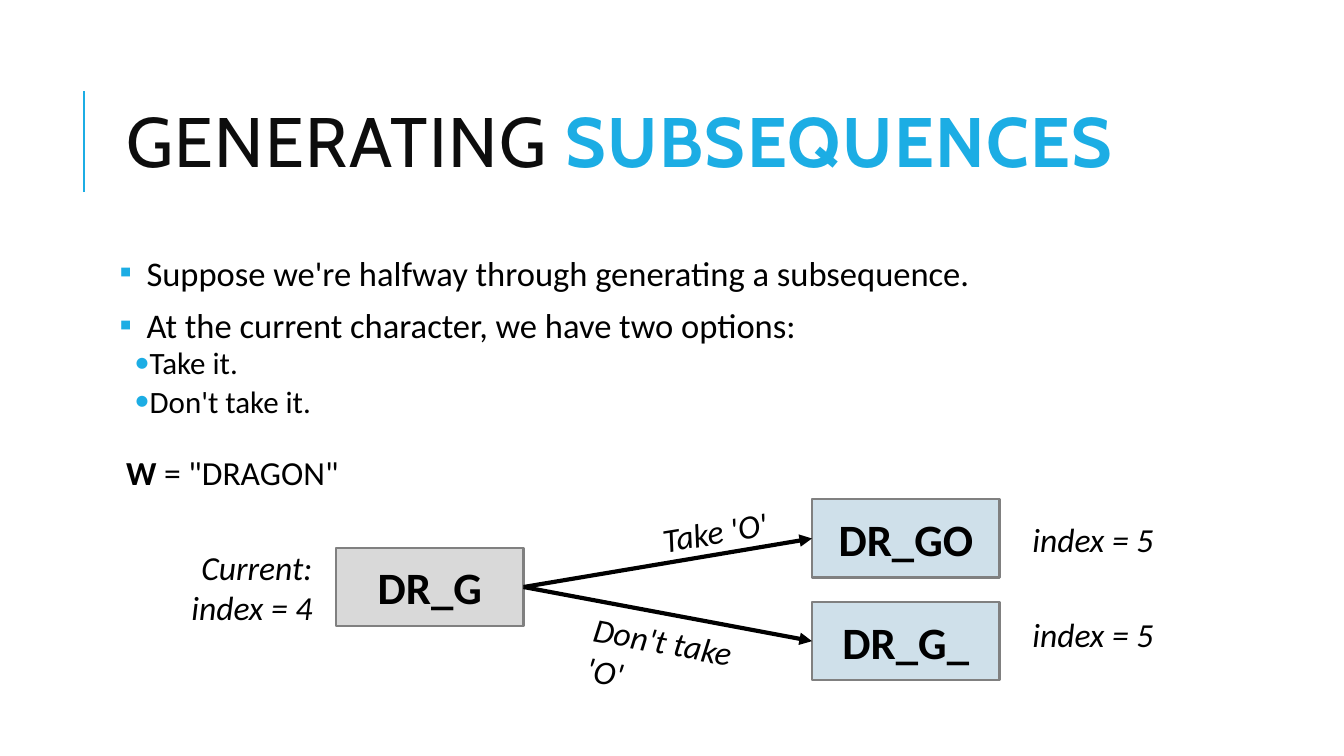
import dataclasses

import lxml.etree
import pptx
import pptx.dml.color
import pptx.enum.shapes
import pptx.enum.text
import pptx.oxml.ns
import pptx.util

Pt = pptx.util.Pt
ALIGN = pptx.enum.text.PP_ALIGN
ANCHOR = pptx.enum.text.MSO_ANCHOR


@dataclasses.dataclass(frozen=True)
class Theme:
    title_font: str = "Cabin"
    body_font: str = "Calibri"
    accent: str = "1CADE4"
    title_color: str = "0D0D0D"
    ink: str = "000000"
    current_fill: str = "D9D9D9"
    option_fill: str = "CFE0EA"
    border: str = "808080"
    title_size: float = 37.5
    bullet_size: float = 18.5
    sub_bullet_size: float = 16.6
    label_size: float = 18
    state_size: float = 24


THEME = Theme()


def rgb(value):
    return pptx.dml.color.RGBColor.from_string(value)


def add_xml(parent, tag, **attributes):
    return lxml.etree.SubElement(parent, pptx.oxml.ns.qn(tag), attributes)


def style_font(font, size, color=THEME.ink, name=THEME.body_font, bold=None, italic=None):
    font.name = name
    font.size = Pt(size)
    font.color.rgb = rgb(color)
    font.bold = bold
    font.italic = italic


def add_text_box(slide, left, top, width, height, inset=(7.2, 3.6), rotation=0):
    shape = slide.shapes.add_textbox(Pt(left), Pt(top), Pt(width), Pt(height))
    shape.rotation = rotation
    frame = shape.text_frame
    frame.word_wrap = True
    frame.margin_left = frame.margin_right = Pt(inset[0])
    frame.margin_top = frame.margin_bottom = Pt(inset[1])
    return frame


def add_title(slide, plain, highlighted):
    frame = add_text_box(slide, 60.5, 34.5, 574, 88.5)
    frame.vertical_anchor = ANCHOR.MIDDLE
    paragraph = frame.paragraphs[0]
    paragraph.line_spacing = 0.8
    for text, color, bold in ((plain, THEME.title_color, False), (highlighted, THEME.accent, True)):
        run = paragraph.add_run()
        run.text = text
        style_font(run.font, THEME.title_size, color, THEME.title_font, bold)
        run.font._element.set("spc", "80")


def add_bullet(paragraph, text, level):
    size, mark, margin, indent, before, after = (
        (THEME.bullet_size, "▪", 14.4, -14.4, 9, 1.5),
        (THEME.sub_bullet_size, "•", 15.8, -7.9, 1.5, 3),
    )[level]
    paragraph.text = text
    paragraph.level = level
    paragraph.line_spacing = 0.8
    paragraph.space_before = Pt(before)
    paragraph.space_after = Pt(after)
    properties = paragraph._p.get_or_add_pPr()
    properties.set("marL", str(Pt(margin)))
    properties.set("indent", str(Pt(indent)))
    bullet_color = add_xml(properties, "a:buClr")
    add_xml(bullet_color, "a:srgbClr", val=THEME.accent)
    add_xml(properties, "a:buFont", typeface=THEME.body_font)
    add_xml(properties, "a:buChar", char=mark)
    style_font(paragraph.font, size)


def add_bullets(slide, items):
    frame = add_text_box(slide, 60.5, 135.5, 574, 98, inset=(3.6, 3.6))
    for index, (text, level) in enumerate(items):
        paragraph = frame.add_paragraph() if index else frame.paragraphs[0]
        add_bullet(paragraph, text, level)


def add_word(slide, name, value):
    paragraph = add_text_box(slide, 60.5, 238.5, 138, 29).paragraphs[0]
    style_font(paragraph.font, THEME.label_size)
    name_run = paragraph.add_run()
    name_run.text = name
    name_run.font.bold = True
    paragraph.add_run().text = value


def add_label(slide, lines, left, top, width, height=29, align=ALIGN.LEFT, rotation=0):
    frame = add_text_box(slide, left, top, width, height, rotation=rotation)
    frame.text = "\n".join(lines)
    for paragraph in frame.paragraphs:
        paragraph.alignment = align
        style_font(paragraph.font, THEME.label_size, italic=True)


def add_state(slide, text, left, top, fill):
    shape = slide.shapes.add_shape(
        pptx.enum.shapes.MSO_SHAPE.RECTANGLE, Pt(left), Pt(top), Pt(100.5), Pt(42))
    shape.shadow.inherit = False
    shape.fill.solid()
    shape.fill.fore_color.rgb = rgb(fill)
    shape.line.color.rgb = rgb(THEME.border)
    shape.line.width = Pt(1.25)
    shape.text_frame.vertical_anchor = ANCHOR.MIDDLE
    paragraph = shape.text_frame.paragraphs[0]
    paragraph.text = text
    paragraph.alignment = ALIGN.CENTER
    style_font(paragraph.font, THEME.state_size, bold=True)
    return shape


def add_line(slide, start, end, color, width):
    connector = slide.shapes.add_connector(
        pptx.enum.shapes.MSO_CONNECTOR.STRAIGHT, *map(Pt, start + end))
    connector.line.color.rgb = rgb(color)
    connector.line.width = Pt(width)
    add_xml(connector._element.spPr, "a:effectLst")
    return connector


def add_arrow(slide, source, target):
    connector = add_line(slide, (0, 0), (0, 0), THEME.ink, 2.25)
    connector.begin_connect(source, 3)
    connector.end_connect(target, 1)
    add_xml(connector.line._get_or_add_ln(), "a:tailEnd", type="triangle")


def main():
    presentation = pptx.Presentation()
    presentation.slide_width = Pt(720)
    presentation.slide_height = Pt(405)
    slide = presentation.slides.add_slide(presentation.slide_layouts[6])

    add_line(slide, (45, 103), (45, 49), THEME.accent, 1.5)
    add_title(slide, "GENERATING ", "SUBSEQUENCES")
    add_bullets(slide, (
        ("Suppose we're halfway through generating a subsequence.", 0),
        ("At the current character, we have two options:", 0),
        ("Take it.", 1),
        ("Don't take it.", 1),
    ))
    add_word(slide, "W", ' = "DRAGON"')

    current = add_state(slide, "DR_G", 180, 293.5, THEME.current_fill)
    for text, top, index_top in (("DR_GO", 267.5, 274.5), ("DR_G_", 322.5, 325.5)):
        option = add_state(slide, text, 435, top, THEME.option_fill)
        add_arrow(slide, current, option)
        add_label(slide, ["index = 5"], 540, index_top, 85, align=ALIGN.RIGHT)
    add_label(slide, ["Current:", "index = 4"], 89.5, 289.5, 85, 51, ALIGN.RIGHT)
    add_label(slide, ["Take 'O'"], 347.5, 270, 74, rotation=-9.4)
    add_label(slide, ["Don't take 'O'"], 310.5, 331, 111.5, rotation=10.6)

    presentation.save("out.pptx")


main()
